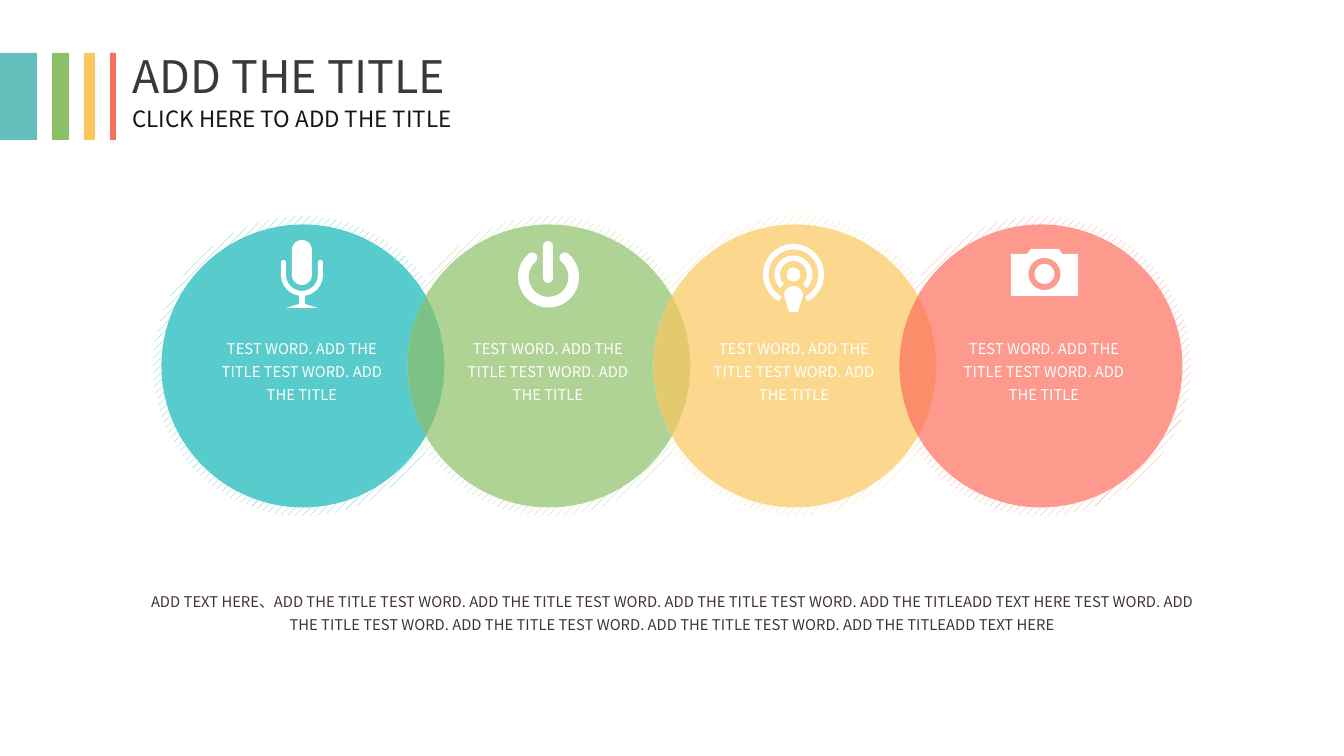
import math

from pptx import Presentation
from pptx import util as u
from pptx.dml.color import RGBColor
from pptx.enum import dml, shapes, text

PX = 914400 / 134.4
FONT = "Noto Sans CJK SC"
WHITE = "FFFFFF"

TITLE = "ADD THE TITLE"
SUBTITLE = "CLICK HERE TO ADD THE TITLE"
CAPTION = "TEST WORD. ADD THE TITLE TEST WORD. ADD THE TITLE"
FOOTER = (
    "ADD TEXT HERE、ADD THE TITLE TEST WORD. ADD THE TITLE TEST WORD. "
    "ADD THE TITLE TEST WORD. ADD THE TITLEADD TEXT HERE TEST WORD. "
    "ADD THE TITLE TEST WORD. ADD THE TITLE TEST WORD. "
    "ADD THE TITLE TEST WORD. ADD THE TITLEADD TEXT HERE"
)
STRIPES = [(0, 37, "66BFBC"), (52, 17, "8CC066"), (84, 11, "FBC75D"), (110, 6, "FC6E5B")]
DISCS = [("58CBCD", 204), ("AFD295", 450), ("FCD88E", 696), ("FD998D", 946)]  # colour, caption left
OVERLAPS = ["7CC286", "E4CA6E", "FC8D6B"]

FIRST_X, CENTER_Y, SPACING = 303, 366, 246
RADIUS, HALO_RADIUS = 141.5, 150
CROSSING = math.degrees(math.acos(SPACING / 2 / RADIUS))


def px(value):
    return u.Emu(round(value * PX))


def rgb(value):
    return RGBColor.from_string(value)


def polar(center, radius, degrees):
    angle = math.radians(degrees)
    return center[0] + radius * math.cos(angle), center[1] + radius * math.sin(angle)


def arc(center, radius, start, end, steps=8):
    """Points along an arc; angles run clockwise from the right."""
    return [polar(center, radius, start + (end - start) * i / steps) for i in range(steps + 1)]


def paint(shape, color):
    shape.shadow.inherit = False
    shape.line.fill.background()
    shape.fill.solid()
    shape.fill.fore_color.rgb = rgb(color)
    return shape


def add_preset(kind, left, top, width, height, color=WHITE):
    return paint(slide.shapes.add_shape(kind, px(left), px(top), px(width), px(height)), color)


def add_round(center, radius, color=WHITE, kind=shapes.MSO_SHAPE.OVAL):
    return add_preset(kind, center[0] - radius, center[1] - radius, 2 * radius, 2 * radius, color)


def add_ring_sector(center, outer, inner, start, end):
    sector = add_round(center, outer, kind=shapes.MSO_SHAPE.BLOCK_ARC)
    sector.adjustments[0] = start * 0.6
    sector.adjustments[1] = end * 0.6
    sector.adjustments[2] = (outer - inner) / (2 * outer)


def add_capsule(left, top, width, height):
    add_preset(shapes.MSO_SHAPE.ROUNDED_RECTANGLE, left, top, width, height).adjustments[0] = 0.5


def add_outline(points, color=WHITE):
    corners = [(px(x), px(y)) for x, y in points]
    builder = slide.shapes.build_freeform(*corners[0])
    builder.add_line_segments(corners[1:], close=True)
    paint(builder.convert_to_shape(), color)


def write(shape, box, content, size, color, alignment, spacing=1.0):
    shape.left, shape.top, shape.width, shape.height = map(px, box)
    frame = shape.text_frame
    frame.text = content
    frame.word_wrap = True
    frame.auto_size = text.MSO_AUTO_SIZE.NONE
    frame.vertical_anchor = text.MSO_ANCHOR.TOP
    paragraph = frame.paragraphs[0]
    paragraph.alignment = alignment
    paragraph.line_spacing = spacing
    paragraph.space_before = u.Pt(0)
    paragraph.font.name = FONT
    paragraph.font.size = u.Pt(size)
    paragraph.font.color.rgb = rgb(color)


def add_text(*args):
    write(slide.shapes.add_textbox(0, 0, 0, 0), *args)


def add_discs():
    centers = [(FIRST_X + SPACING * i, CENTER_Y) for i in range(len(DISCS))]
    for center, (color, _) in zip(centers, DISCS):
        halo = add_round(center, HALO_RADIUS)
        halo.fill.patterned()
        halo.fill.pattern = dml.MSO_PATTERN.WIDE_UPWARD_DIAGONAL
        halo.fill.fore_color.rgb = rgb(color)
        halo.fill.back_color.rgb = rgb(WHITE)
    for center, (color, _) in zip(centers, DISCS):
        add_round(center, RADIUS, color)
    for left, right, color in zip(centers, centers[1:], OVERLAPS):
        add_outline(arc(left, RADIUS, -CROSSING, CROSSING)
                    + arc(right, RADIUS, 180 - CROSSING, 180 + CROSSING), color)


def add_microphone():
    add_capsule(292, 240, 20, 45)
    add_ring_sector((302, 275), 21, 16, 0, 180)
    for arm_left in (281, 318):
        add_capsule(arm_left, 260, 5, 18)
    add_outline([(299, 294), (305, 294), (305, 304), (318, 308), (286, 308), (299, 304)])


def add_power():
    center = (548.5, 277)
    add_ring_sector(center, 30.5, 20, 310, 230)
    for end in (310, 230):
        add_round(polar(center, 25.25, end), 5.25)
    add_capsule(543, 241, 10, 42)


def add_podcast():
    center = (793.5, 274.5)
    add_ring_sector(center, 30.5, 25, 118, 62)
    add_ring_sector(center, 19, 13.5, 135, 45)
    add_round(center, 7)
    add_outline(arc((793.5, 295.5), 9.5, 180, 360) + [(798, 312), (789, 312)])


def add_camera():
    center = (1044.5, 274)
    add_outline([(1011, 254), (1027, 254), (1031, 249), (1059, 249), (1062, 254),
                 (1078, 254), (1078, 296), (1011, 296)])
    add_round(center, 16, DISCS[-1][0])
    add_round(center, 10)


presentation = Presentation()
presentation.slide_width, presentation.slide_height = px(1344), px(756)
slide = presentation.slides.add_slide(presentation.slide_layouts[0])

add_discs()
for add_icon in (add_microphone, add_power, add_podcast, add_camera):
    add_icon()
for _, caption_left in DISCS:
    add_text((caption_left, 328, 196, 83), CAPTION, 7.9, WHITE, text.PP_ALIGN.CENTER, 1.3)
add_text((124, 581, 1096, 59), FOOTER, 7.9, "41342F", text.PP_ALIGN.CENTER, 1.3)
for stripe_left, stripe_width, stripe_color in STRIPES:
    add_preset(shapes.MSO_SHAPE.RECTANGLE, stripe_left, 53, stripe_width, 87, stripe_color)
write(slide.shapes.title, (119, 42, 426, 67), TITLE, 24, "3C3836", text.PP_ALIGN.LEFT)
write(slide.placeholders[1], (119, 98, 374, 40), SUBTITLE, 12, "1A1513", text.PP_ALIGN.JUSTIFY)

presentation.save("out.pptx")
